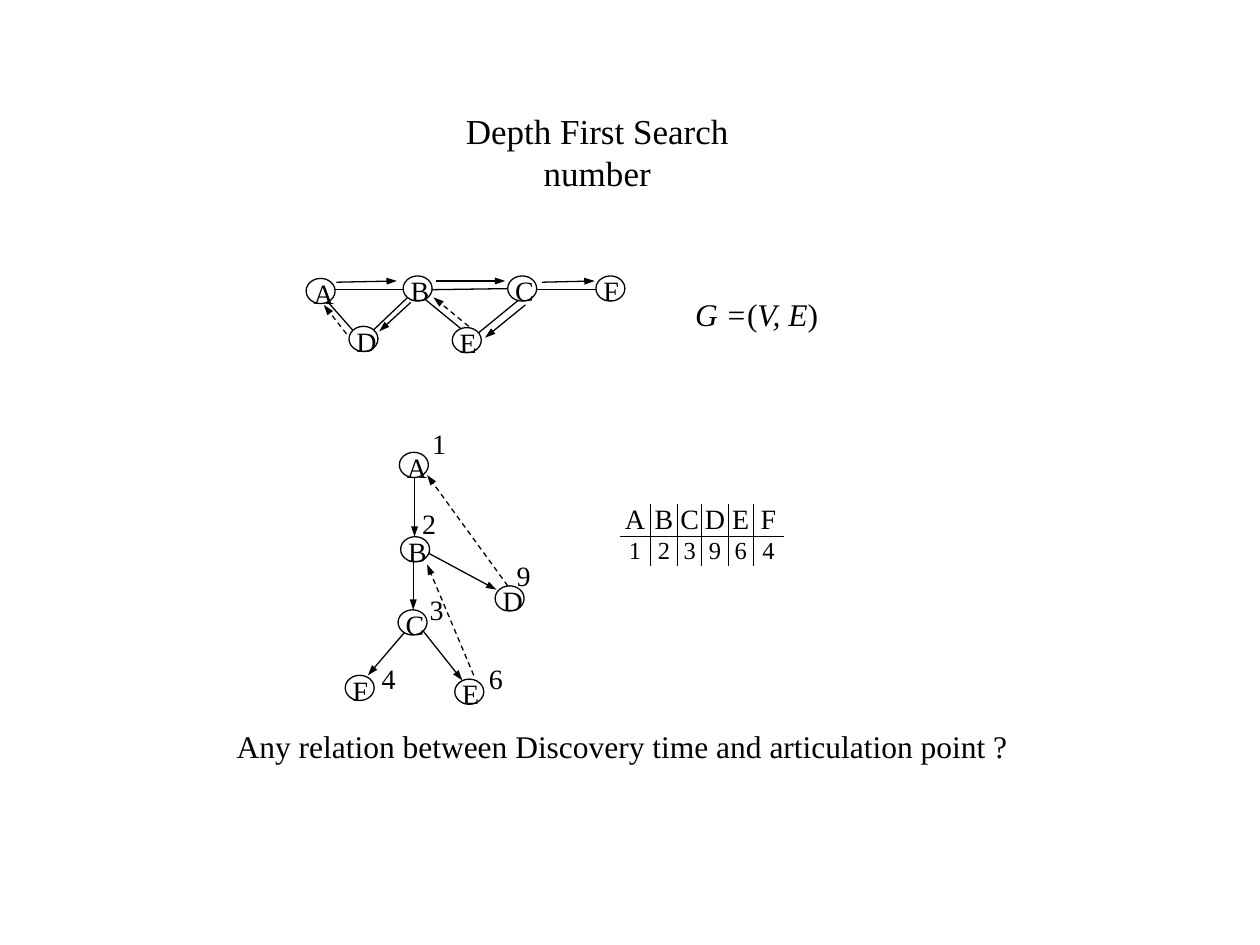
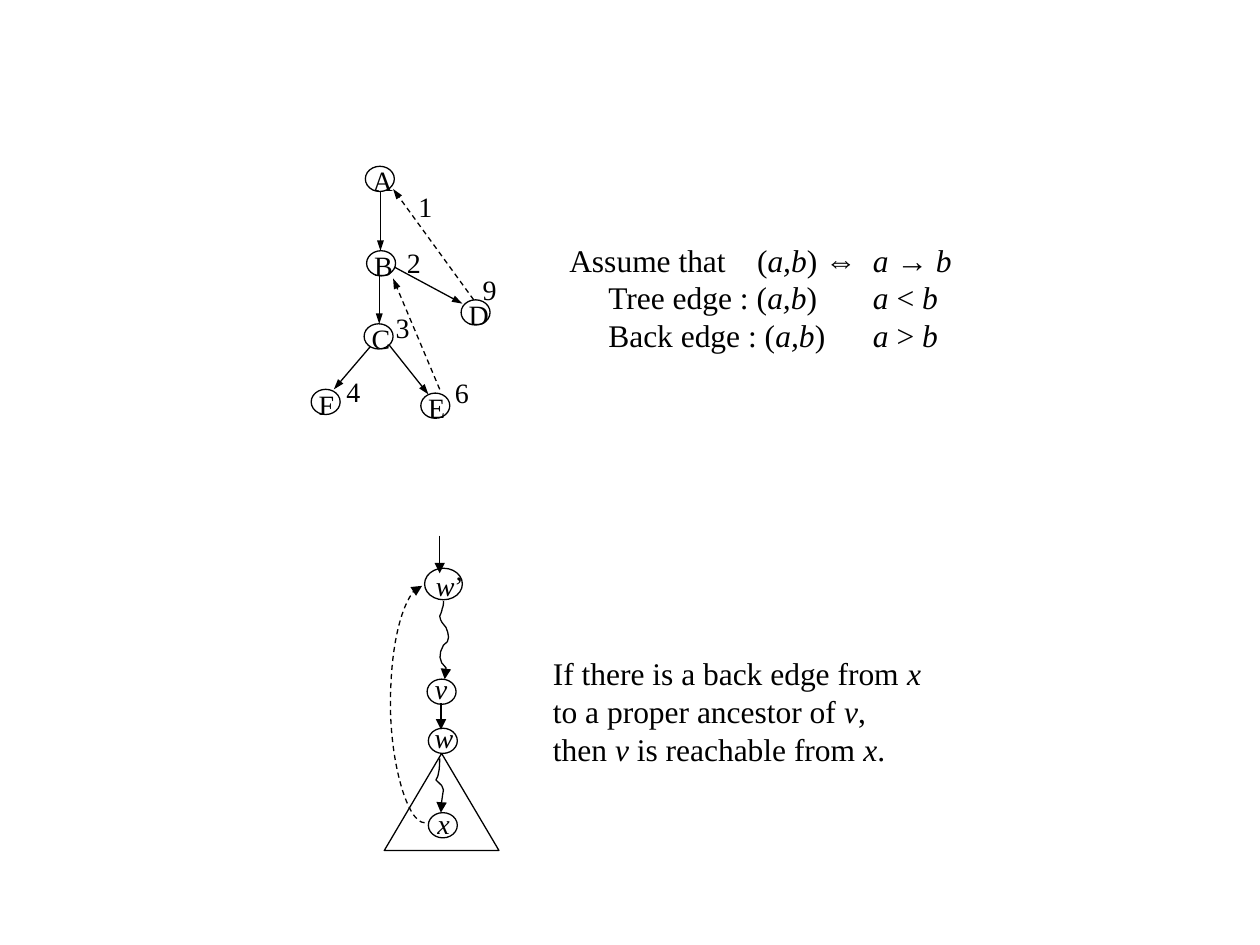
import lxml.etree
import pptx
import pptx.dml.color
import pptx.enum.dml
import pptx.enum.shapes
import pptx.enum.text
import pptx.oxml.ns
import pptx.shapes.connector
import pptx.util

PX = 9144  # 100 px to the inch
FONT = "Times New Roman"
BLACK, WHITE = "000000", "FFFFFF"
THIN = pptx.util.Pt(0.75)
color = pptx.dml.color.RGBColor.from_string
qn = pptx.oxml.ns.qn
add_element = lxml.etree.SubElement
LEFT, CENTER = pptx.enum.text.PP_ALIGN.LEFT, pptx.enum.text.PP_ALIGN.CENTER
SHAPES = pptx.enum.shapes.MSO_SHAPE
CONNECTORS = pptx.enum.shapes.MSO_CONNECTOR


def write(slide, text, left, top, width, height, size=16, align=CENTER, inset=10, tabs=(), shape=None):
    """Fill a text box (or the given shape); *stars* enclose italics."""
    if shape is None:
        shape = slide.shapes.add_textbox(0, 0, 0, 0)
    shape.left, shape.top, shape.width, shape.height = left * PX, top * PX, width * PX, height * PX
    frame = shape.text_frame
    frame.word_wrap = True
    frame.auto_size = pptx.enum.text.MSO_AUTO_SIZE.NONE
    frame.vertical_anchor = pptx.enum.text.MSO_ANCHOR.MIDDLE
    frame.margin_left = frame.margin_right = inset * PX
    for index, line in enumerate(text.split("\n")):
        paragraph = frame.add_paragraph() if index else frame.paragraphs[0]
        paragraph.alignment = align
        if tabs:
            tab_list = add_element(paragraph._p.get_or_add_pPr(), qn("a:tabLst"))
            for stop in tabs:
                add_element(tab_list, qn("a:tab"), pos=str(stop * PX), algn="l")
        for part, words in enumerate(line.split("*")):
            if words:
                run = paragraph.add_run()
                run.text = words
                run.font.name, run.font.size = FONT, pptx.util.Pt(size)
                run.font.italic = part % 2 == 1
                run.font.color.rgb = color(BLACK)


def outline(shape, dashed=False, head_width=None):
    """Thin black line without shadow, with an arrowhead if a width is given."""
    shape.line.color.rgb = color(BLACK)
    shape.line.width = THIN
    if dashed:
        shape.line.dash_style = pptx.enum.dml.MSO_LINE.DASH
    if head_width:
        line = shape.element.find(".//" + qn("a:ln"))
        add_element(line, qn("a:tailEnd"), type="triangle", w=head_width, len="med")
    if isinstance(shape, pptx.shapes.connector.Connector):
        add_element(shape.element.spPr, qn("a:effectLst"))
    else:
        shape.shadow.inherit = False


presentation = pptx.Presentation()
presentation.slide_width, presentation.slide_height = 1000 * PX, 750 * PX
search_slide = presentation.slides.add_slide(presentation.slide_layouts[5])
edge_slide = presentation.slides.add_slide(presentation.slide_layouts[6])

# Title, formula, question and explanations
write(search_slide, "Depth First Search number", 314, 99, 320, 43, size=20, inset=15,
      shape=search_slide.shapes.title)
write(search_slide, "*G =*(*V, E*)", 535, 229, 131, 40, size=18)
write(search_slide, "Any relation between Discovery time and articulation point ?",
      178, 567, 660, 50, size=18, align=LEFT)
write(edge_slide, "Assume that\t(*a,b*) ⇔\t*a *→ *b*\n"
      "\tTree edge : (*a,b*)\t*a* < *b*\n"
      "\tBack edge : (*a,b*)\t*a* > *b*",
      442, 186, 340, 100, size=18, align=LEFT, tabs=(31, 149, 241))
write(edge_slide, "If there is a back edge from *x*\nto a proper ancestor of *v*,\n"
      "then *v* is reachable from *x*.", 429, 514, 330, 100, size=18, align=LEFT)

# Undirected edges of the graph, and the subtree below w
graph_edges = [(257, 236, 287, 270), (255, 230, 337, 230), (337, 230, 409, 229), (380, 264, 413, 237),
               (332, 228, 290, 268), (333, 234, 366, 261), (426, 230, 474, 230)]
for x1, y1, x2, y2 in graph_edges:
    outline(search_slide.shapes.add_connector(CONNECTORS.STRAIGHT, x1 * PX, y1 * PX, x2 * PX, y2 * PX))
subtree = edge_slide.shapes.add_shape(SHAPES.ISOSCELES_TRIANGLE, 305 * PX, 598 * PX, 91 * PX, 77 * PX)
subtree.fill.solid()
subtree.fill.fore_color.rgb = color(WHITE)
outline(subtree)

# Graph nodes, then the chain: slide, label, ellipse box, label offset and width
nodes = [(search_slide, label, x, y, 23, 20, -4, -7, 32) for label, x, y in
         (("A", 243, 221), ("B", 320, 219), ("C", 403, 219),
          ("D", 277, 259), ("E", 359, 260), ("F", 473, 219))]
nodes += [(edge_slide, "*w*’", 337, 451, 30, 25, -2, -5, 44),
          (edge_slide, "*v*", 339, 539, 23, 20, -5, -11, 32),
          (edge_slide, "*w*", 340, 578, 23, 20, -5, -11, 32),
          (edge_slide, "*x*", 340, 645, 23, 20, -4, -10, 32)]

# Arrows: slide, start, end, dashed, head width
arrows = [(search_slide, *ends, False, "sm") for ends in
          ((267, 224, 315, 223), (346, 223, 401, 223), (430, 224, 472, 223),
           (417, 242, 385, 268), (326, 240, 301, 263))]
arrows += [(search_slide, *ends, True, "sm") for ends in ((275, 265, 257, 242), (372, 259, 344, 236))]
arrows += [(edge_slide, *ends, False, "med") for ends in ((349, 425, 349, 455), (350, 558, 350, 579))]

# The search tree stands on both slides, shifted
tree_nodes = [("A", 317, 359), ("B", 318, 426), ("C", 316, 484),
              ("D", 393, 465), ("E", 361, 539), ("F", 274, 536)]
tree_edges = [(329, 379, 329, 426), (328, 446, 328, 484), (321, 502, 292, 536),
              (336, 501, 367, 540), (340, 439, 394, 468)]
back_edges = [(403, 465, 339, 377), (376, 536, 339, 448)]
for slide, shift_x, shift_y in ((search_slide, 0, 0), (edge_slide, -27, -227)):
    nodes += [(slide, label, x + shift_x, y + shift_y, 23, 20, -4, -7, 32) for label, x, y in tree_nodes]
    for edges, dashed in ((tree_edges, False), (back_edges, True)):
        arrows += [(slide, x1 + shift_x, y1 + shift_y, x2 + shift_x, y2 + shift_y, dashed, "sm")
                   for x1, y1, x2, y2 in edges]

for slide, label, x, y, width, height, offset_x, offset_y, label_width in nodes:
    node = slide.shapes.add_shape(SHAPES.OVAL, x * PX, y * PX, width * PX, height * PX)
    node.fill.solid()
    node.fill.fore_color.rgb = color(WHITE)
    outline(node)
    write(slide, label, x + offset_x, y + offset_y, label_width, 37)

for slide, x1, y1, x2, y2, dashed, head_width in arrows:
    arrow = slide.shapes.add_connector(CONNECTORS.STRAIGHT, x1 * PX, y1 * PX, x2 * PX, y2 * PX)
    outline(arrow, dashed, head_width)

# Discovery numbers beside the tree nodes
numbers = [(search_slide, (("1", 333, 333), ("2", 325, 397), ("3", 331, 465),
                           ("4", 293, 520), ("6", 378, 520), ("9", 400, 438))),
           (edge_slide, (("1", 322, 145), ("2", 313, 190), ("3", 304, 241),
                         ("4", 265, 292), ("6", 351, 293), ("9", 373, 211)))]
for slide, places in numbers:
    for number, x, y in places:
        write(slide, number, x, y, 31, 37)

# Table of discovery numbers, ruled on the inside only
rows = [("ABCDEF", 16, 26), ("123964", 14, 23)]
column_widths = [24, 22, 19, 21, 20, 24]
table = search_slide.shapes.add_table(2, 6, 492 * PX, 400 * PX, sum(column_widths) * PX, 49 * PX).table
table.first_row = table.horz_banding = False
for column, width in enumerate(column_widths):
    table.columns[column].width = width * PX
for row, (values, size, height) in enumerate(rows):
    table.rows[row].height = height * PX
    for column, value in enumerate(values):
        cell = table.cell(row, column)
        cell.margin_left = cell.margin_right = cell.margin_top = cell.margin_bottom = 0
        cell.vertical_anchor = pptx.enum.text.MSO_ANCHOR.MIDDLE
        cell.text = value
        paragraph = cell.text_frame.paragraphs[0]
        paragraph.alignment = CENTER
        font = paragraph.runs[0].font
        font.name, font.size, font.color.rgb = FONT, pptx.util.Pt(size), color(BLACK)
        properties = cell._tc.get_or_add_tcPr()
        for side, ruled in (("L", column > 0), ("R", column < 5), ("T", row > 0), ("B", row < 1)):
            border = add_element(properties, qn("a:ln" + side), w=str(THIN))
            if ruled:
                add_element(add_element(border, qn("a:solidFill")), qn("a:srgbClr"), val=BLACK)
            else:
                add_element(border, qn("a:noFill"))
        cell.fill.background()

# Wavy paths w’ to v and w to x: a start, then cubic curves of three points each
waves = [[(352, 477), (352, 479), (352, 481), (351, 483), (351, 485), (349, 489), (349, 489),
          (350, 494), (351, 494), (354, 498), (356, 503), (358, 509), (352, 512),
          (348, 519), (348, 525), (354, 530), (353, 538), (353, 535), (353, 539)],
         [(349, 602), (349, 606), (349, 610), (348, 614), (348, 616), (346, 619), (346, 619),
          (352, 625), (350, 622), (352, 627), (351, 633), (350, 639), (350, 645)]]
for points in waves:
    builder = edge_slide.shapes.build_freeform(points[0][0] * PX, points[0][1] * PX)
    for first in range(0, len(points) - 1, 3):
        curve = points[first:first + 4]
        for step in (0.25, 0.5, 0.75, 1):
            weights = ((1 - step) ** 3, 3 * step * (1 - step) ** 2, 3 * step ** 2 * (1 - step), step ** 3)
            x, y = (sum(weight * point[axis] for weight, point in zip(weights, curve)) for axis in (0, 1))
            builder.add_line_segments([(x * PX, y * PX)], close=False)
    wave = builder.convert_to_shape()
    wave.fill.background()
    outline(wave, head_width="med")

# Back edge from x to w’, bulging 27 px to the left of its 2 px wide box
back_edge = edge_slide.shapes.add_connector(CONNECTORS.CURVE, 337 * PX, 653 * PX, 335 * PX, 465 * PX)
outline(back_edge, dashed=True, head_width="med")
adjustments = back_edge.element.find(".//" + qn("a:avLst"))
add_element(adjustments, qn("a:gd"), name="adj1", fmla="val 1350000")

presentation.save("out.pptx")
